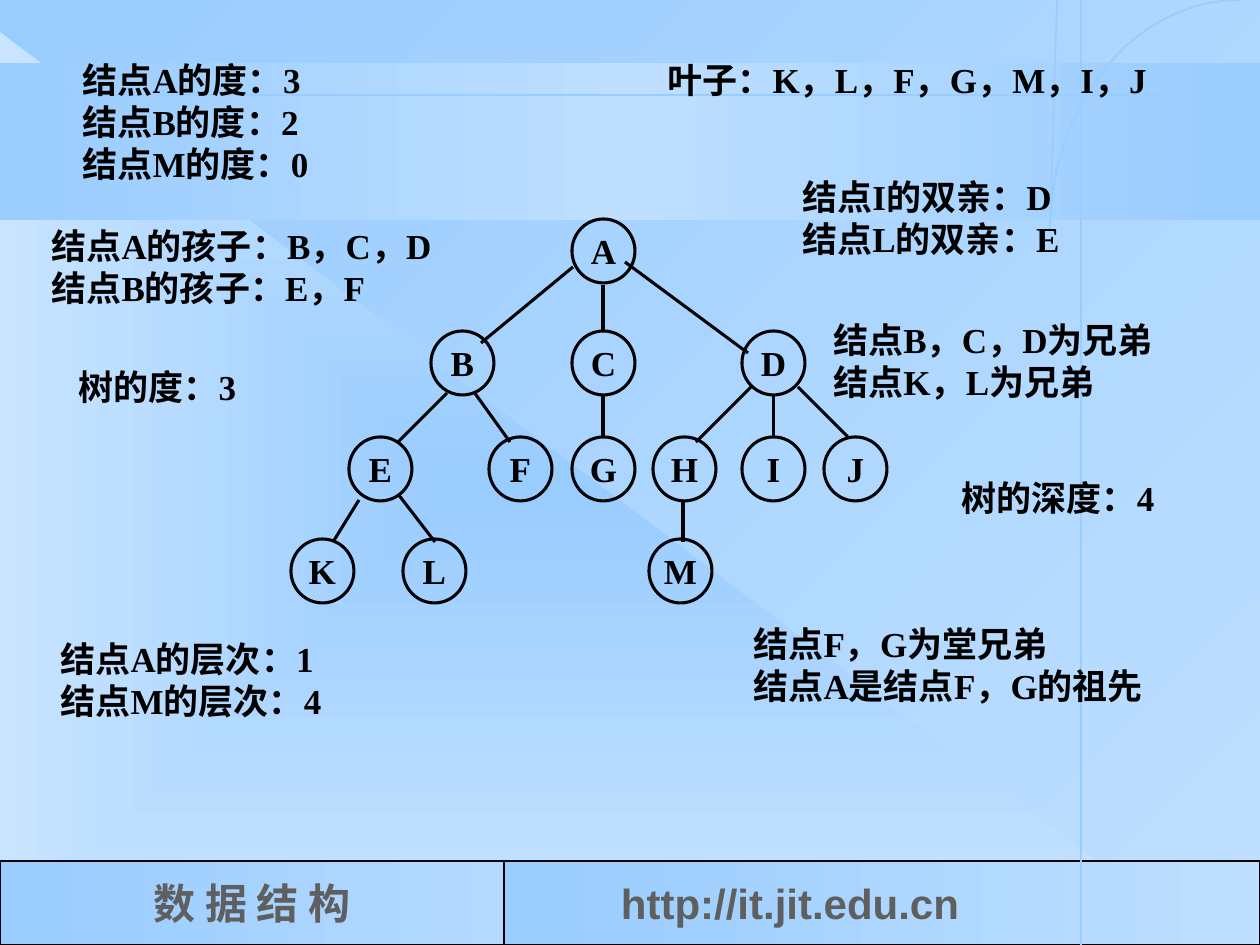
from pptx import Presentation
from pptx.dml.color import RGBColor
from pptx.enum.shapes import MSO_CONNECTOR, MSO_SHAPE
from pptx.enum.text import MSO_ANCHOR, MSO_AUTO_SIZE, PP_ALIGN
from pptx.oxml.ns import qn
from pptx.util import Pt
from lxml import etree

EMU_PER_PX = 914400 / 126
WIDTH, HEIGHT = 1260, 945
BLACK, GREY, SKY, PALE = "000000", "5F5F5F", "99CCFF", "BEDFFF"
SERIF, SANS = "Times New Roman", "Arial"
OVAL, RECTANGLE, TRIANGLE = MSO_SHAPE.OVAL, MSO_SHAPE.RECTANGLE, MSO_SHAPE.RIGHT_TRIANGLE
STRAIGHT = MSO_CONNECTOR.STRAIGHT
MIDDLE, CENTER, LEFT = MSO_ANCHOR.MIDDLE, PP_ALIGN.CENTER, PP_ALIGN.LEFT
FIXED = MSO_AUTO_SIZE.NONE

NODE_WIDTH, NODE_HEIGHT = 63, 64
TREE_LEVELS = {
    219: {"A": 572},
    331: {"B": 431, "C": 572, "D": 742},
    437: {"E": 349, "F": 489, "G": 572, "H": 653, "I": 742, "J": 824},
    539: {"K": 291, "L": 403, "M": 649},
}
EDGES = [
    (603, 285, 603, 330), (603, 396, 603, 437), (774, 396, 774, 437),
    (751, 387, 696, 442), (798, 387, 848, 437), (625, 262, 748, 353),
    (573, 267, 481, 343), (474, 392, 510, 442), (447, 393, 398, 442),
    (359, 500, 333, 542), (398, 494, 435, 542), (683, 500, 683, 542),
]
NOTES = [
    ((70, 52, 282, 139), "结点A的度：3\n结点B的度：2\n结点M的度：0"),
    ((655, 52, 620, 55), "叶子：K，L，F，G，M，I，J"),
    ((39, 218, 470, 97), "结点A的孩子：B，C，D\n结点B的孩子：E，F"),
    ((790, 169, 314, 97), "结点I的双亲：D\n结点L的双亲：E"),
    ((821, 312, 402, 97), "结点B，C，D为兄弟\n结点K，L为兄弟"),
    ((66, 359, 200, 55), "树的度：3"),
    ((48, 631, 318, 97), "结点A的层次：1\n结点M的层次：4"),
    ((949, 470, 234, 55), "树的深度：4"),
    ((741, 616, 472, 97), "结点F，G为堂兄弟\n结点A是结点F，G的祖先"),
]


def px(length):
    """Turn pixels into EMU."""
    return round(length * EMU_PER_PX)


def color(hex_value):
    """Turn a hex string into a colour."""
    return RGBColor.from_string(hex_value)


def paint_gradient(fill, element, colors, angle=None):
    """Fill with evenly spaced colours, along an angle or towards the centre."""
    fill.gradient()
    gradient = next(element.iter(qn("a:gradFill")))
    for child in list(gradient):
        gradient.remove(child)
    stops = etree.SubElement(gradient, qn("a:gsLst"))
    for index, value in enumerate(colors):
        position = 100000 * index // (len(colors) - 1)
        stop = etree.SubElement(stops, qn("a:gs"), pos=str(position))
        etree.SubElement(stop, qn("a:srgbClr"), val=value)
    if angle is None:
        shading = etree.SubElement(gradient, qn("a:path"), path="rect")
        etree.SubElement(shading, qn("a:fillToRect"), {side: "50000" for side in "ltrb"})
    else:
        etree.SubElement(gradient, qn("a:lin"), ang=str(angle * 60000), scaled="0")


def draw_line(line, hex_value, width):
    """Colour a line and set its width in points."""
    line.color.rgb = color(hex_value)
    line.width = Pt(width)


def write_text(shape, text, size, hex_value=BLACK, font=SERIF, align=LEFT, **frame_format):
    """Write bold paragraphs into a shape."""
    frame = shape.text_frame
    frame.text = text
    for name, value in {"word_wrap": False, **frame_format}.items():
        setattr(frame, name, value)
    for paragraph in frame.paragraphs:
        paragraph.alignment = align
        for name, value in {"name": font, "size": Pt(size), "bold": True}.items():
            setattr(paragraph.font, name, value)
        paragraph.font.color.rgb = color(hex_value)


def add_shape(slide, kind, box, colors=None, angle=None, line_width=None):
    """Add a preset shape with an optional gradient and black outline."""
    shape = slide.shapes.add_shape(kind, *map(px, box))
    shape.shadow.inherit = False
    if colors:
        paint_gradient(shape.fill, shape.element, colors, angle)
    else:
        shape.fill.background()
    if line_width:
        draw_line(shape.line, BLACK, line_width)
    else:
        shape.line.fill.background()
    return shape


def add_line(slide, ends, hex_value, width):
    """Add a straight line without a shadow."""
    connector = slide.shapes.add_connector(STRAIGHT, *map(px, ends))
    draw_line(connector.line, hex_value, width)
    etree.SubElement(connector.element.spPr, qn("a:effectLst"))


def curve_points(start, first, second, end, steps=32):
    """Return points along a cubic curve."""
    points = []
    for step in range(steps + 1):
        t = step / steps
        weights = ((1 - t) ** 3, 3 * t * (1 - t) ** 2, 3 * t * t * (1 - t), t ** 3)
        points.append(tuple(
            px(sum(weight * value for weight, value in zip(weights, axis)))
            for axis in zip(start, first, second, end)))
    return points


def add_arc(slide):
    """Add the thin arc in the upper right corner."""
    points = curve_points((1240, 0), (1135, 0), (1050, 103), (1050, 232))
    points.append((px(1057), 0))
    builder = slide.shapes.build_freeform(*points[0])
    builder.add_line_segments(points[1:], close=False)
    arc = builder.convert_to_shape()
    arc.shadow.inherit = False
    arc.fill.background()
    draw_line(arc.line, SKY, 1)


def add_backdrop(slide):
    """Add the background, the footer and the guide lines."""
    paint_gradient(slide.background.fill, slide.element, [SKY, PALE], 45)
    add_shape(slide, TRIANGLE, (0, 32, 1207, 913), [SKY, "C8E4FF"])
    add_shape(slide, RECTANGLE, (0, 63, WIDTH, 157), [SKY, PALE, SKY], 0)
    course = add_shape(slide, RECTANGLE, (0, 861, 504, 84), [SKY, "B4D9FF"], 0, 1.5)
    write_text(course, "数 据 结 构", 24, GREY, align=CENTER, vertical_anchor=MIDDLE)
    site = add_shape(slide, RECTANGLE, (504, 861, 756, 84), [SKY, PALE], 0, 1.5)
    write_text(site, "http://it.jit.edu.cn", 24, GREY, SANS,
               vertical_anchor=MIDDLE, word_wrap=True, margin_left=px(117))
    add_line(slide, (0, 95, WIDTH, 95), SKY, 1)
    add_line(slide, (1081, 0, 1081, HEIGHT), SKY, 1.5)
    add_arc(slide)


def add_tree(slide):
    """Add the nodes and edges of the tree."""
    for top, nodes in TREE_LEVELS.items():
        for name, left in nodes.items():
            node = add_shape(slide, OVAL, (left, top, NODE_WIDTH, NODE_HEIGHT), line_width=1.75)
            write_text(node, name, 20, align=CENTER, vertical_anchor=MIDDLE)
    for ends in EDGES:
        add_line(slide, ends, BLACK, 1.75)


def add_notes_around_tree(slide):
    """Add the statements about the tree."""
    for box, text in NOTES:
        note = slide.shapes.add_textbox(*map(px, box))
        write_text(note, text, 20, auto_size=FIXED, word_wrap=True)


def main():
    """Build and save the slide."""
    presentation = Presentation()
    presentation.slide_width, presentation.slide_height = px(WIDTH), px(HEIGHT)
    slide = presentation.slides.add_slide(presentation.slide_layouts[6])
    add_backdrop(slide)
    add_tree(slide)
    add_notes_around_tree(slide)
    presentation.save("out.pptx")


if __name__ == "__main__":
    main()
